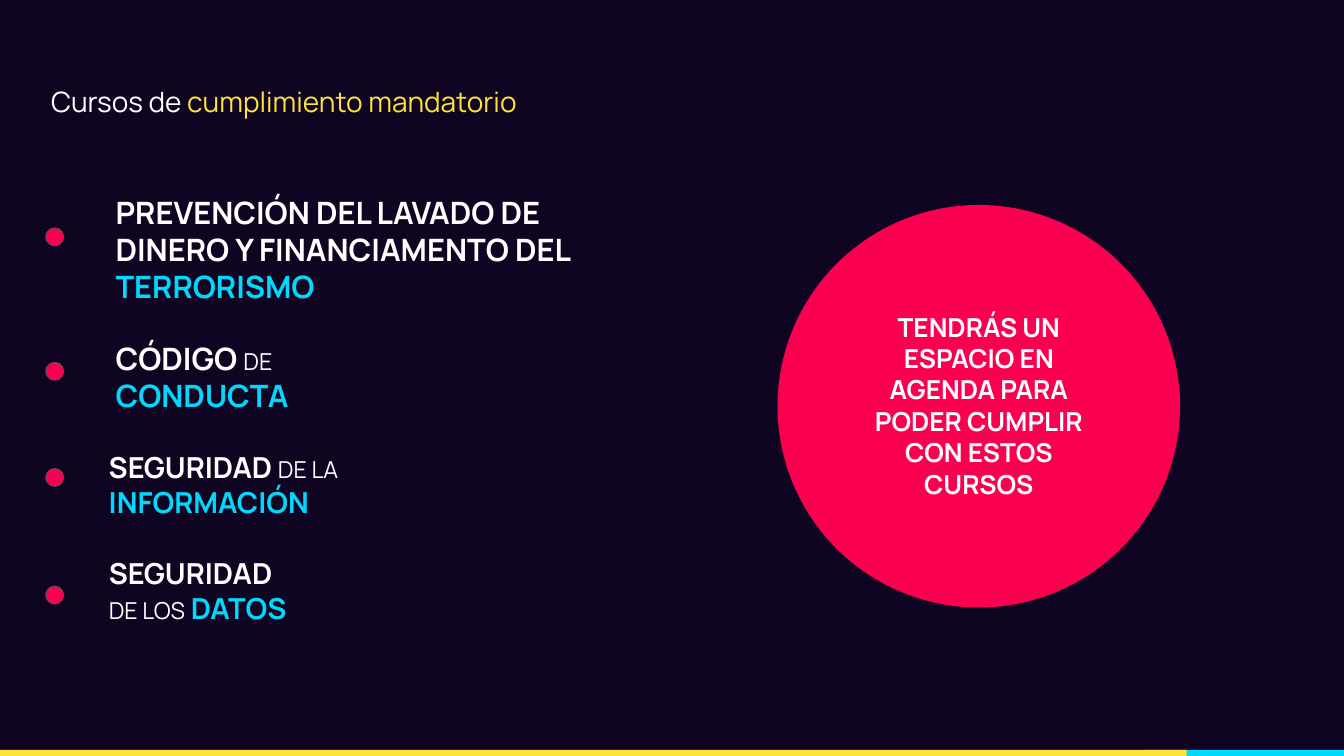
"""Build the slide that lists the mandatory compliance courses."""
import dataclasses

import pptx
import pptx.dml.color
import pptx.enum.shapes
import pptx.enum.text
import pptx.util

SHAPE = pptx.enum.shapes.MSO_SHAPE
ALIGN = pptx.enum.text.PP_ALIGN
ANCHOR = pptx.enum.text.MSO_ANCHOR
AUTO_SIZE = pptx.enum.text.MSO_AUTO_SIZE


@dataclasses.dataclass(frozen=True)
class Theme:
    """Hold the colours, font and type sizes."""
    font: str = "Manrope"
    night: str = "100423"
    white: str = "FFFFFF"
    yellow: str = "FFE438"
    cyan: str = "00D9FC"
    pink: str = "FA0050"
    gray: str = "595959"
    title: int = 30
    course_large: int = 33
    course: int = 31
    connective: int = 25
    message: int = 28


class SlideBuilder:
    """Draw styled elements on one slide, measured in grid columns and rows."""

    columns, rows = 20, 11.25

    def __init__(self, presentation, theme):
        """Add a title-only slide with a plain background."""
        self.theme = theme
        self.column = presentation.slide_width / self.columns
        self.row = presentation.slide_height / self.rows
        self.slide = presentation.slides.add_slide(presentation.slide_layouts[5])
        fill = self.slide.background.fill
        fill.solid()
        fill.fore_color.rgb = self.color(theme.night)

    def color(self, value):
        """Turn a hex value into a colour."""
        return pptx.dml.color.RGBColor.from_string(value)

    def box(self, left, top, width, height):
        """Turn grid units into slide lengths."""
        return [int(left * self.column), int(top * self.row),
                int(width * self.column), int(height * self.row)]

    def fill_frame(self, frame, paragraphs, inset, align=ALIGN.LEFT, anchor=ANCHOR.TOP):
        """Fill a text frame with paragraphs of (text, size, colour, bold) runs."""
        margin = int(inset * self.column)
        settings = {"word_wrap": True, "auto_size": AUTO_SIZE.NONE, "vertical_anchor": anchor}
        settings |= {f"margin_{side}": margin for side in ("left", "top", "right", "bottom")}
        for name, value in settings.items():
            setattr(frame, name, value)
        for index, runs in enumerate(paragraphs):
            paragraph = frame.add_paragraph() if index else frame.paragraphs[0]
            paragraph.alignment = align
            for text, size, color, bold in runs:
                run = paragraph.add_run()
                run.text = text
                formats = {"name": self.theme.font, "size": pptx.util.Pt(size), "bold": bold}
                for name, value in formats.items():
                    setattr(run.font, name, value)
                run.font.color.rgb = self.color(color)

    def title(self, bounds, runs):
        """Place and fill the title placeholder."""
        title = self.slide.shapes.title
        for name, value in zip(("left", "top", "width", "height"), self.box(*bounds)):
            setattr(title, name, value)
        self.fill_frame(title.text_frame, [runs], 0.2, anchor=ANCHOR.MIDDLE)

    def text(self, bounds, paragraphs, inset=0.1, align=ALIGN.LEFT):
        """Add a text box."""
        text_box = self.slide.shapes.add_textbox(*self.box(*bounds))
        self.fill_frame(text_box.text_frame, paragraphs, inset, align)

    def shape(self, kind, bounds, fill, outline=None):
        """Add a filled shape, outlined only on request."""
        shape = self.slide.shapes.add_shape(kind, *self.box(*bounds))
        shape.shadow.inherit = False
        shape.fill.solid()
        shape.fill.fore_color.rgb = self.color(fill)
        if outline:
            shape.line.color.rgb = self.color(outline)
            shape.line.width = pptx.util.Pt(0.75)
        else:
            shape.line.fill.background()


def main():
    """Compose the slide and save it."""
    presentation = pptx.Presentation()
    presentation.slide_width = pptx.util.Inches(20)
    presentation.slide_height = pptx.util.Inches(11.25)
    theme = Theme()
    builder = SlideBuilder(presentation, theme)

    def strong(text, size=theme.course, color=theme.white):
        """Describe a bold run."""
        return text, size, color, True

    def light(text, size=theme.connective, color=theme.white):
        """Describe a regular run."""
        return text, size, color, False

    builder.shape(SHAPE.OVAL, (11.57, 3.05, 5.99, 5.99), theme.pink)
    builder.title((0.56, 1, 8.61, 1.03), [
        light("Cursos de ", theme.title),
        light("cumplimiento mandatorio", theme.title, theme.yellow)])

    large, space = theme.course_large, light(" ", theme.course)
    courses = [
        (3.39, (2.68, 7.37, 2.07), 0.2, [
            [strong("PREVENCIÓN DEL LAVADO DE DINERO Y FINANCIAMENTO DEL ", large),
             strong("TERRORISMO", large, theme.cyan)]]),
        (5.39, (4.85, 7.37, 1.52), 0.2, [
            [strong("CÓDIGO ", large), light("DE")],
            [strong("CONDUCTA", large, theme.cyan)]]),
        (6.97, (6.59, 5.76, 1.25), 0.1, [
            [strong("SEGURIDAD "), light("DE LA"), space,
             strong("INFORMACIÓN", color=theme.cyan)]]),
        (8.72, (8.17, 6.29, 1.25), 0.1, [
            [strong("SEGURIDAD")],
            [light("DE LOS"), space, strong("DATOS", color=theme.cyan)]]),
    ]
    for dot_top, bounds, inset, paragraphs in courses:
        builder.shape(SHAPE.OVAL, (0.68, dot_top, 0.27, 0.27), theme.pink, theme.gray)
        builder.text((1.52, *bounds), paragraphs, inset)

    message = "TENDRÁS UN ESPACIO EN AGENDA PARA PODER CUMPLIR CON ESTOS CURSOS"
    builder.text((12.77, 4.53, 3.59, 3.03), [[strong(message, theme.message)]],
                 align=ALIGN.CENTER)

    for left, width, color in ((17, 3.03, theme.cyan), (-0.03, 17.69, theme.yellow)):
        builder.shape(SHAPE.RECTANGLE, (left, 11.16, width, 0.27), color)
    presentation.save("out.pptx")


if __name__ == "__main__":
    main()
